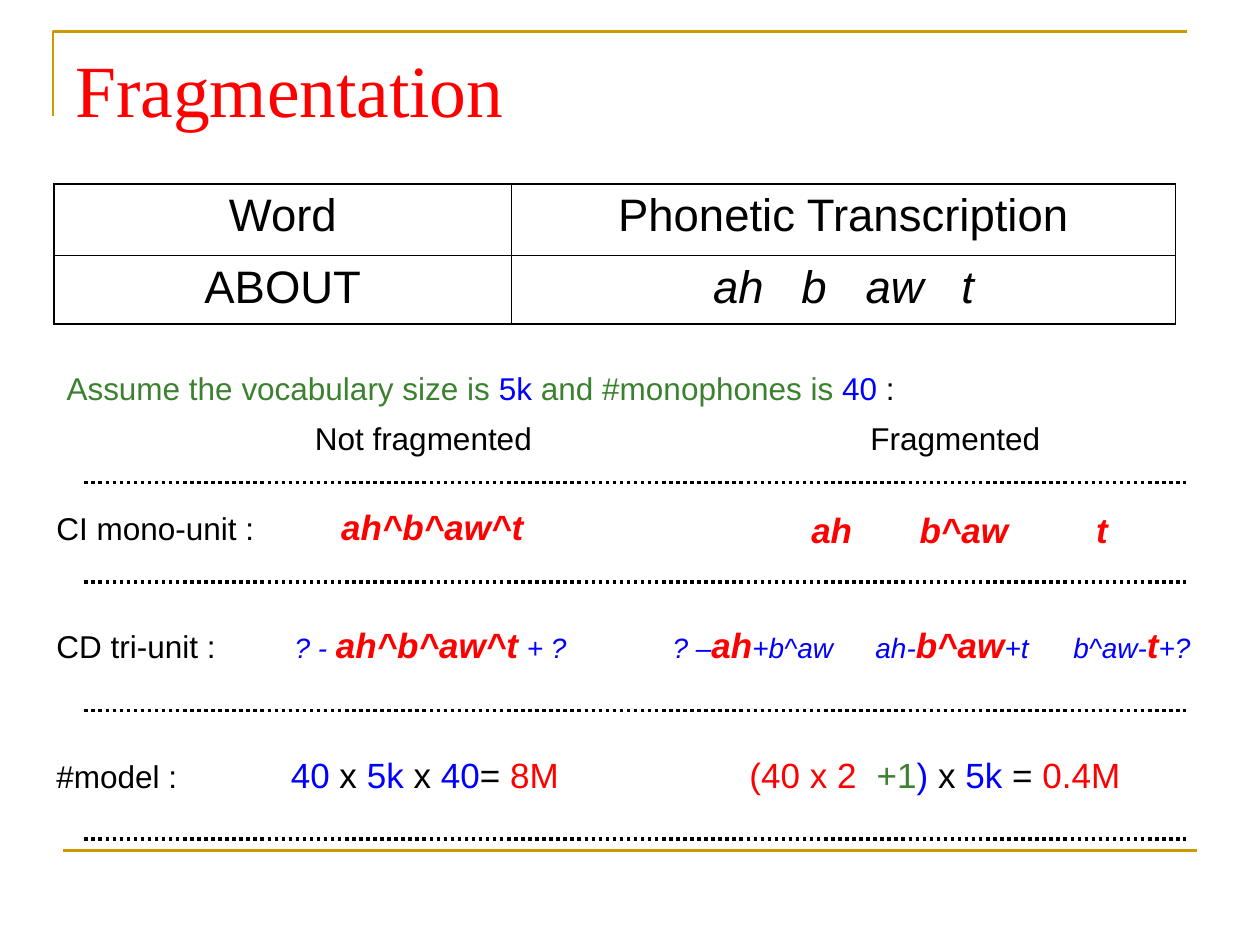
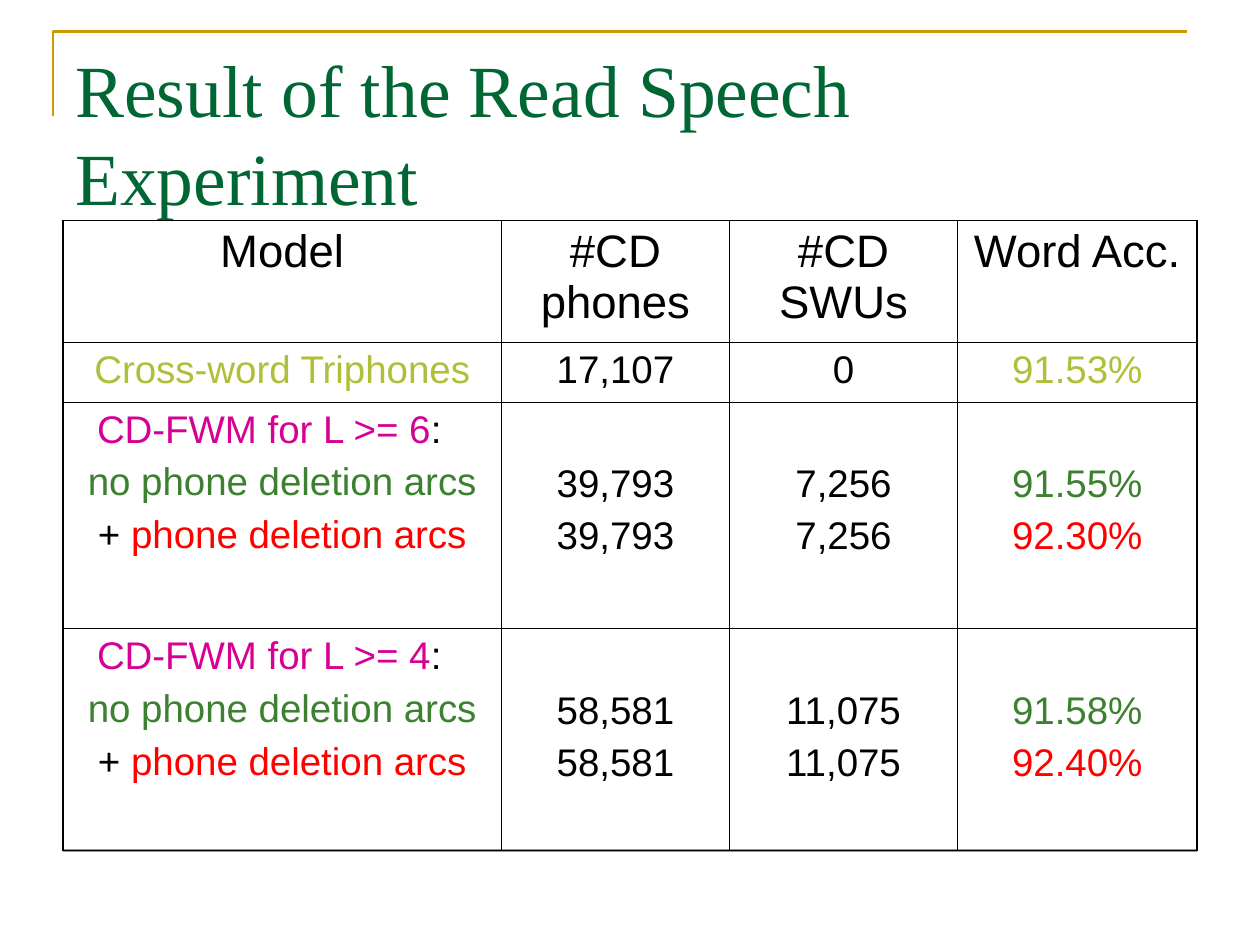
from dataclasses import dataclass

from lxml.etree import SubElement
from pptx import Presentation
from pptx.dml.color import RGBColor
from pptx.enum.dml import MSO_LINE
from pptx.enum.shapes import MSO_CONNECTOR
from pptx.enum.text import PP_ALIGN
from pptx.oxml.ns import qn
from pptx.util import Inches, Pt


@dataclass(frozen=True)
class Theme:
    black: str = "000000"
    red: str = "FF0000"
    blue: str = "0000FF"
    green: str = "3B812F"
    forest: str = "006633"
    lime: str = "AFBF39"
    magenta: str = "D60093"
    gold: str = "CC9900"
    title_font: str = "Times New Roman"
    body_font: str = "Arial"
    title: int = 42
    header: int = 26
    result: int = 22
    formula: int = 20
    label: int = 18
    context: int = 16
    outer_border: float = 1.08
    inner_border: float = 0.45


theme = Theme()


def write(paragraph, spans, size, tab_stops=(), font_name=theme.body_font):
    """Add (text, colour, optional font attributes) spans; tab stops are in inches."""
    if tab_stops:
        tab_list = SubElement(paragraph._p.get_or_add_pPr(), qn("a:tabLst"))
        for stop in tab_stops:
            SubElement(tab_list, qn("a:tab"), pos=str(Inches(stop)), algn="l")
    for text, color, *extra in spans:
        span = paragraph.add_run()
        span.text = text
        span.font.color.rgb = RGBColor.from_string(color)
        formats = {"name": font_name, "size": Pt(size)}
        for changes in extra:
            formats.update(changes)
        for attribute, value in formats.items():
            setattr(span.font, attribute, value)


def add_grid(page, left, top, widths, heights, rows, sizes):
    """Draw a bordered table; each cell is a list of paragraphs, each a list of spans."""
    table = page.shapes.add_table(
        len(heights), len(widths), Inches(left), Inches(top),
        Inches(sum(widths)), Inches(sum(heights))).table
    table.first_row = table.horz_banding = False
    for column, width in zip(table.columns, widths):
        column.width = Inches(width)
    for row_index, (height, cells, size) in enumerate(zip(heights, rows, sizes)):
        table.rows[row_index].height = Inches(height)
        for column_index, paragraphs in enumerate(cells):
            cell = table.cell(row_index, column_index)
            outer_sides = {
                "lnL": column_index == 0,
                "lnR": column_index == len(widths) - 1,
                "lnT": row_index == 0,
                "lnB": row_index == len(heights) - 1,
            }
            for side, is_outer in outer_sides.items():
                width = theme.outer_border if is_outer else theme.inner_border
                border = SubElement(cell._tc.get_or_add_tcPr(), qn(f"a:{side}"), w=str(Pt(width)))
                SubElement(SubElement(border, qn("a:solidFill")), qn("a:srgbClr"), val=theme.black)
            cell.fill.background()
            frame = cell.text_frame
            for index, spans in enumerate(paragraphs):
                paragraph = frame.add_paragraph() if index else frame.paragraphs[0]
                paragraph.alignment = PP_ALIGN.CENTER
                if index:
                    paragraph.space_before = Pt(size / 4)
                write(paragraph, spans, size)
    return table


deck = Presentation()
deck.slide_width, deck.slide_height = Inches(10), Inches(7.5)

# Frame and title on every page
titles = [("Fragmentation", theme.red),
          ("Result of the Read Speech Experiment", theme.forest)]
rules = []
for title, color in titles:
    page = deck.slides.add_slide(deck.slide_layouts[6])
    builder = page.shapes.build_freeform(Inches(0.42), Inches(0.92))
    builder.add_line_segments(
        [(Inches(0.42), Inches(0.25)), (Inches(9.42), Inches(0.25))], close=False)
    corner = builder.convert_to_shape()
    corner.shadow.inherit = False
    corner.fill.background()
    corner.line.color.rgb = RGBColor.from_string(theme.gold)
    corner.line.width = Pt(1.5)
    rules.append((page, 0.5, 9.5, 6.75, theme.gold, 1.5, MSO_LINE.SOLID))
    box = page.shapes.add_textbox(Inches(0.5), Inches(0.3), Inches(9), Inches(1.25))
    box.text_frame.word_wrap = True
    write(box.text_frame.paragraphs[0], [(title, color)], theme.title,
          font_name=theme.title_font)

fragmentation_page, result_page = deck.slides

# Footer rules and dotted separators
for top in (3.83, 4.62, 5.64, 6.66):
    rules.append((fragmentation_page, 0.67, 9.41, top, theme.black, 2, MSO_LINE.ROUND_DOT))
for page, left, right, top, color, width, dash in rules:
    rule = page.shapes.add_connector(
        MSO_CONNECTOR.STRAIGHT, Inches(left), Inches(top), Inches(right), Inches(top))
    rule.line.color.rgb = RGBColor.from_string(color)
    rule.line.width = Pt(width)
    rule.line.dash_style = dash
    SubElement(rule._element.spPr, qn("a:effectLst"))

# Fragmentation: word and its phones
word_table = add_grid(
    fragmentation_page, 0.43, 1.46, [3.63, 5.27], [0.57, 0.54],
    [[[[("Word", theme.black)]], [[("Phonetic Transcription", theme.black)]]],
     [[[("ABOUT", theme.black)]], [[]]]],
    [theme.header] * 2)
phones_cell = word_table.cell(1, 1)
phones_cell.margin_left = Inches(1.6)
phones = phones_cell.text_frame.paragraphs[0]
phones.alignment = PP_ALIGN.LEFT
write(phones, [("ah\tb\taw\tt", theme.black, {"italic": True})], theme.header, (0.7, 1.21, 1.97))

# Fragmentation: comparison of units
unit = {"size": Pt(theme.formula), "bold": True, "italic": True}
context = {"size": Pt(theme.context), "italic": True}
space = {"italic": True}
texts = [
    (0.43, 2.88, 7.56, theme.label, (), [
        ("Assume the vocabulary size is ", theme.green), ("5k ", theme.blue),
        ("and #monophones is", theme.green), (" 40", theme.blue), (" :", theme.black)]),
    (2.4, 3.28, 2.28, theme.label, (), [("Not fragmented", theme.black)]),
    (6.81, 3.28, 1.97, theme.label, (), [("Fragmented", theme.black)]),
    (0.35, 3.99, 2.13, theme.label, (), [("CI mono-unit :", theme.black)]),
    (0.35, 4.93, 1.8, theme.label, (), [("CD tri-unit :", theme.black)]),
    (0.35, 5.96, 1.8, theme.label, (), [("#model :", theme.black)]),
    (2.61, 3.96, 1.8, theme.formula, (), [("ah^b^aw^t", theme.red, unit)]),
    (6.34, 3.99, 2.91, theme.formula, (0.86, 2.26), [("ah\tb^aw\tt", theme.red, unit)]),
    (2.24, 4.9, 2.5, theme.label, (), [
        ("? -", theme.blue, context), (" ", theme.black, space),
        ("ah^b^aw^t", theme.red, unit), (" ", theme.black, space),
        ("+ ?", theme.blue, context)]),
    (5.24, 4.9, 4.5, theme.label, (1.61, 3.18), [
        ("? –", theme.blue, context), ("ah", theme.red, unit),
        ("+b^aw\tah-", theme.blue, context), ("b^aw", theme.red, unit),
        ("+t\tb^aw-", theme.blue, context), ("t", theme.red, unit),
        ("+?", theme.blue, context)]),
    (2.21, 5.93, 2.5, theme.formula, (), [
        ("40", theme.blue), (" x ", theme.black), ("5k", theme.blue), (" x ", theme.black),
        ("40", theme.blue), ("= ", theme.black), ("8M", theme.red)]),
    (5.85, 5.93, 3.3, theme.formula, (1.01,), [
        ("(40 x 2\t", theme.red), ("+1", theme.green), (")", theme.blue), (" x", theme.black),
        (" 5k ", theme.blue), ("= ", theme.black), ("0.4M", theme.red)]),
]
for left, top, width, size, tab_stops, spans in texts:
    box = fragmentation_page.shapes.add_textbox(
        Inches(left), Inches(top), Inches(width), Inches(0.4 if size == theme.label else 0.44))
    box.text_frame.word_wrap = True
    write(box.text_frame.paragraphs[0], spans, size, tab_stops)

# Results: two reference rows, then one row per length limit
headers = ("Model", "#CD phones", "#CD SWUs", "Word Acc.")
baseline = (("Cross-word Triphones", theme.lime), ("17,107", theme.black),
            ("0", theme.black), ("91.53%", theme.lime))
result_rows = [[[[(header, theme.black)]] for header in headers],
               [[[span]] for span in baseline]]
for limit, phone_count, unit_count, plain, with_arcs in (
        (6, "39,793", "7,256", "91.55%", "92.30%"),
        (4, "58,581", "11,075", "91.58%", "92.40%")):
    result_rows.append([
        [[(f"CD-FWM for L >= {limit}", theme.magenta), (":", theme.black)],
         [("no phone deletion arcs", theme.green)],
         [("+ ", theme.black), ("phone deletion arcs", theme.red)]],
        [[(phone_count, theme.black)]] * 2,
        [[(unit_count, theme.black)]] * 2,
        [[(plain, theme.green)], [(with_arcs, theme.red)]],
    ])
result_table = add_grid(
    result_page, 0.5, 1.75, [3.48, 1.81, 1.81, 1.9], [0.97, 0.47, 1.8, 1.76],
    result_rows, [theme.header] + [theme.result] * 3)
for row in (2, 3):
    heading = result_table.cell(row, 0).text_frame.paragraphs[0]
    heading.alignment = PP_ALIGN.LEFT
    heading._p.get_or_add_pPr().set("marL", str(Inches(0.17)))
    for column in (1, 2, 3):
        result_table.cell(row, column).margin_top = Inches(0.48)

deck.save("out.pptx")
